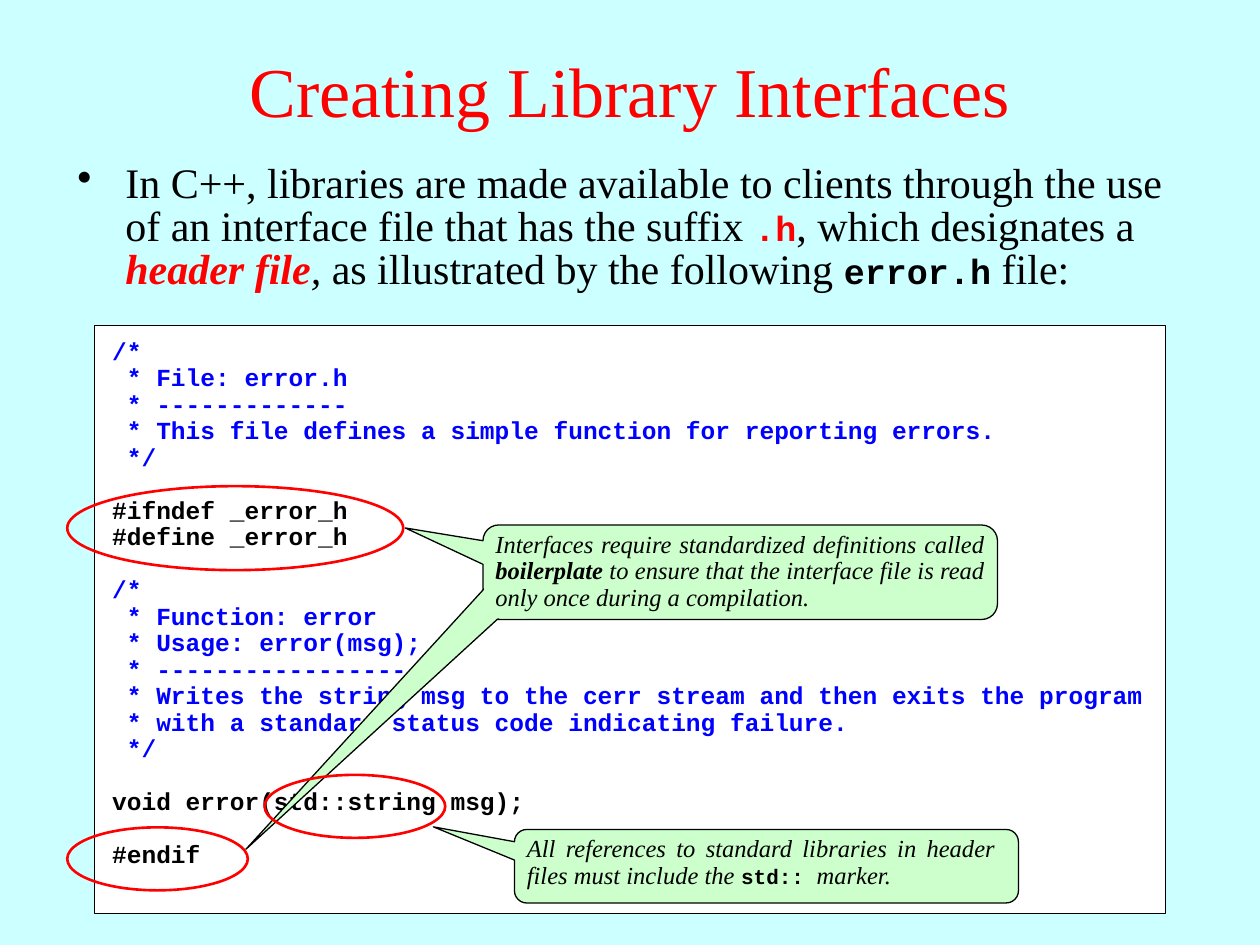
from pptx import Presentation
from pptx.dml.color import RGBColor
from pptx.enum.shapes import MSO_SHAPE
from pptx.enum.text import MSO_ANCHOR, PP_ALIGN
from pptx.oxml.ns import qn
from pptx.util import Inches, Pt
from lxml.etree import SubElement

COLS, ROWS = 120, 90
SERIF, MONO = "Times New Roman", "Courier New"
BLACK, RED, BLUE, MINT = "000000", "FF0000", "0000FF", "CCFFCC"
CODE = """/*
 * File: error.h
 * -------------
 * This file defines a simple function for reporting errors.
 */

#ifndef _error_h
#define _error_h

/*
 * Function: error
 * Usage: error(msg);
 * ------------------
 * Writes the string msg to the cerr stream and then exits the program
 * with a standard status code indicating failure.
 */

void error(std::string msg);

#endif"""


def rgb(value):
    """Turn a hex string into a colour."""
    return RGBColor.from_string(value)


def grid(box):
    """Turn columns and rows into slide lengths."""
    x, y, w, h = box
    col, row = Inches(10) / COLS, Inches(7.5) / ROWS
    return int(x * col), int(y * row), int(w * col), int(h * row)


def inside(box, x, y, w, h):
    """Place a box relative to the corner of another."""
    return box[0] + x, box[1] + y, w, h


def add_shape(shapes, kind, box, fill=None, line=None, width=0.75):
    """Add a preset shape without shadow."""
    sp = shapes.add_shape(kind, *grid(box))
    sp.shadow.inherit = False
    if fill:
        sp.fill.solid()
        sp.fill.fore_color.rgb = rgb(fill)
    else:
        sp.fill.background()
    if line:
        sp.line.color.rgb = rgb(line)
        sp.line.width = Pt(width)
    else:
        sp.line.fill.background()
    return sp


def add_text(shapes, box):
    """Add a wrapping text box and return its frame."""
    tf = shapes.add_textbox(*grid(box)).text_frame
    tf.word_wrap = True
    return tf


def add_run(p, text, size, font=SERIF, color=BLACK, bold=False, italic=False):
    """Append one formatted run."""
    r = p.add_run()
    r.text = text
    r.font.size, r.font.name = Pt(size), font
    r.font.bold, r.font.italic = bold, italic
    r.font.color.rgb = rgb(color)


def add_title(shapes, box):
    """Write the centred heading."""
    tf = add_text(shapes, box)
    tf.vertical_anchor = MSO_ANCHOR.MIDDLE
    p = tf.paragraphs[0]
    p.alignment = PP_ALIGN.CENTER
    add_run(p, "Creating Library Interfaces", 40, color=RED)


def add_intro(shapes, box):
    """Write the bulleted introduction."""
    p = add_text(shapes, box).paragraphs[0]
    pPr = p._p.get_or_add_pPr()
    pPr.set("marL", str(Inches(0.38)))
    pPr.set("indent", str(-Inches(0.38)))
    SubElement(pPr, qn("a:buChar"), char="•")
    p.line_spacing = 0.85
    add_run(p, "In C++, libraries are made available to clients through the use "
               "of an interface file that has the suffix ", 24)
    add_run(p, ".h", 20, MONO, RED, bold=True)
    add_run(p, ", which designates a ", 24)
    add_run(p, "header file", 24, color=RED, bold=True, italic=True)
    add_run(p, ",", 24, italic=True)
    add_run(p, " as illustrated by the following ", 24)
    add_run(p, "error.h", 20, MONO, bold=True)
    add_run(p, " file:", 24)


def add_code(shapes, box):
    """Draw the code panel, with comments in blue."""
    add_shape(shapes, MSO_SHAPE.RECTANGLE, box, "FFFFFF", BLACK)
    tf = add_text(shapes, inside(box, 0.5, 0.7, box[2] - 0.8, box[3] - 1.3))
    p = tf.paragraphs[0]
    for b, block in enumerate(CODE.split("\n\n")):
        color = BLUE if block.startswith("/*") else BLACK
        for i, line in enumerate(block.split("\n")):
            if b or i:
                p = tf.add_paragraph()
            if b and not i:
                p.space_before = Pt(15.2)
            p.line_spacing = 0.9
            add_run(p, line, 14, MONO, color, bold=True)


def add_ring(shapes, box):
    """Circle a piece of code in red."""
    add_shape(shapes, MSO_SHAPE.OVAL, box, line=RED, width=1.5)


def add_callout(shapes, box, tip):
    """Draw a rounded callout whose tail ends at the tip."""
    sp = add_shape(shapes, MSO_SHAPE.ROUNDED_RECTANGULAR_CALLOUT, box, MINT, BLACK)
    sp.adjustments[0], sp.adjustments[1] = tip


def add_note(shapes, box):
    """Start the justified text of a callout."""
    p = add_text(shapes, box).paragraphs[0]
    p.alignment = PP_ALIGN.JUSTIFY
    p.line_spacing = 0.9
    return p


def add_boilerplate(shapes, box):
    """Explain the boilerplate, with tails to both of its parts."""
    g = shapes.add_group_shape().shapes
    add_ring(g, inside(box, -39.6, -3.7, 32, 8))
    add_ring(g, inside(box, -39.6, 28.8, 17.2, 6))
    add_callout(g, box, (-0.651, -0.468))
    tail = add_shape(g, MSO_SHAPE.ISOSCELES_TRIANGLE,
                     inside(box, -12.2, 2.2, 3, 33.6), MINT, BLACK)
    tail.rotation = 225
    add_shape(g, MSO_SHAPE.RECTANGLE, inside(box, 0.1, 5.9, 4, 3), MINT)
    p = add_note(g, inside(box, 0, 0.1, box[2], box[3] - 0.1))
    add_run(p, "Interfaces require standardized definitions called ", 14, italic=True)
    add_run(p, "boilerplate", 14, bold=True, italic=True)
    add_run(p, " to ensure that the interface file is read only once "
               "during a compilation.", 14, italic=True)


def add_marker(shapes, box):
    """Explain the namespace marker."""
    g = shapes.add_group_shape().shapes
    add_callout(g, box, (-0.661, -0.536))
    add_ring(g, inside(box, -23.8, -5.2, 17.2, 6))
    p = add_note(g, inside(box, 0, 0.1, box[2] - 1, box[3] - 0.6))
    add_run(p, "All references to standard libraries in header files "
               "must include the ", 14, italic=True)
    add_run(p, "std:: ", 12, MONO, bold=True)
    add_run(p, "marker.", 14, italic=True)


def main():
    """Build the slide and save it."""
    prs = Presentation()
    prs.slide_width, prs.slide_height = Inches(10), Inches(7.5)
    s = prs.slides.add_slide(prs.slide_layouts[6])
    s.background.fill.solid()
    s.background.fill.fore_color.rgb = rgb("CCFFFF")
    add_title(s.shapes, (0, 1, COLS, 15))
    add_intro(s.shapes, (6.2, 15.1, 106.7, 14.9))
    add_code(s.shapes, (9, 31, 102, 56))
    add_boilerplate(s.shapes, (46, 50, 49, 9))
    add_marker(s.shapes, (49, 79, 48, 7))
    prs.save("out.pptx")


if __name__ == "__main__":
    main()
